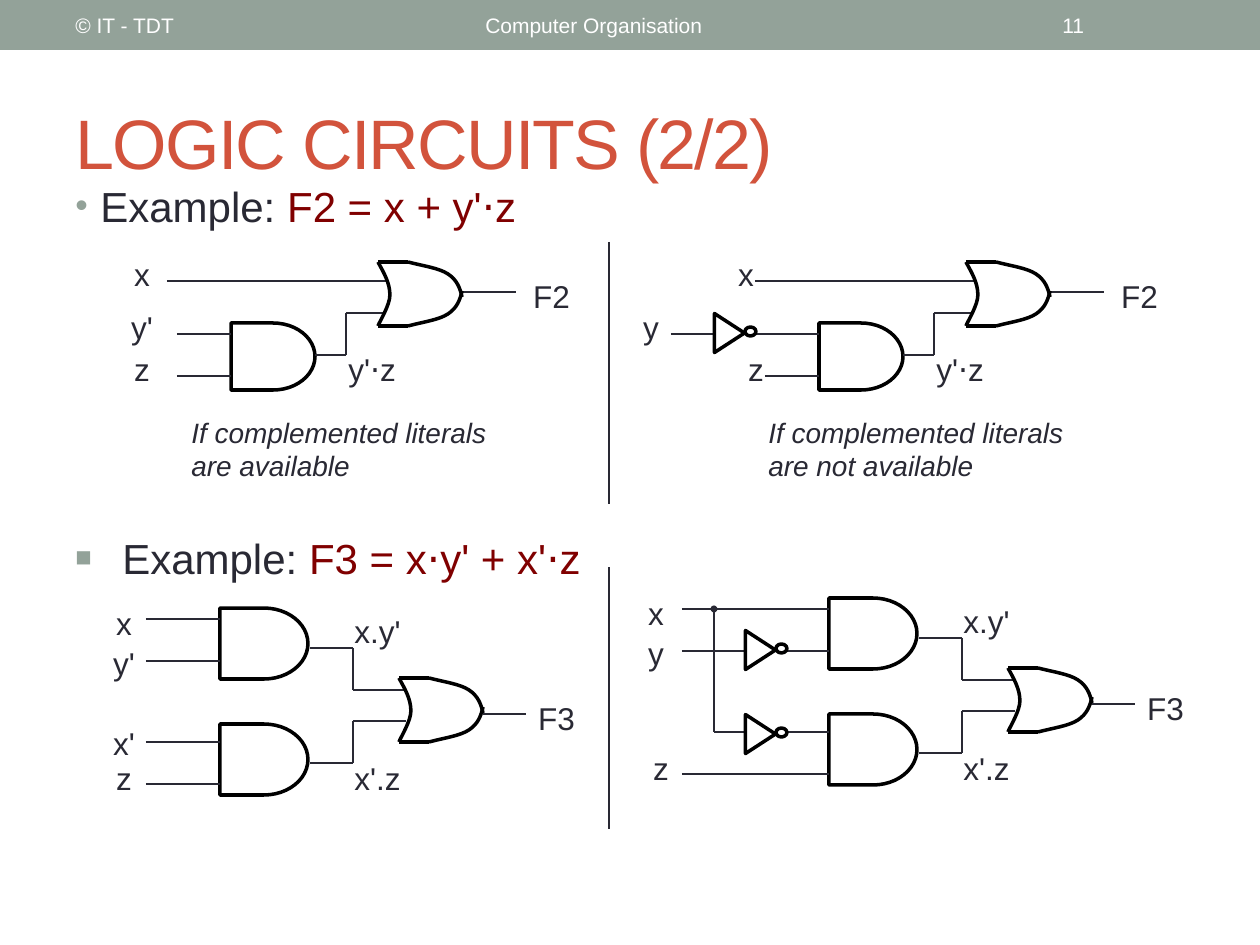
from dataclasses import dataclass

from lxml import etree
from pptx import Presentation
from pptx.dml.color import RGBColor
from pptx.enum.shapes import MSO_CONNECTOR, MSO_SHAPE
from pptx.enum.text import MSO_ANCHOR, PP_ALIGN
from pptx.oxml.ns import qn
from pptx.util import Pt

STRAIGHT = MSO_CONNECTOR.STRAIGHT
RECTANGLE, OVAL = MSO_SHAPE.RECTANGLE, MSO_SHAPE.OVAL
DELAY, MERGE = MSO_SHAPE.FLOWCHART_DELAY, MSO_SHAPE.FLOWCHART_MERGE
TOP, MIDDLE = MSO_ANCHOR.TOP, MSO_ANCHOR.MIDDLE
LEFT, CENTER = PP_ALIGN.LEFT, PP_ALIGN.CENTER
EMU_PER_PX = 914400 / 126


@dataclass(frozen=True)
class Theme:
    """Colours, type sizes and line widths of the slide."""
    font: str = "Arial"
    banner: str = "93A299"
    white: str = "FFFFFF"
    title: str = "D2533C"
    ink: str = "292934"
    formula: str = "800000"
    gate: str = "000000"
    title_size: int = 40
    body_size: int = 24
    label_size: int = 18
    caption_size: int = 16
    footer_size: int = 12
    gate_width: float = 2
    wire_width: float = 1.5
    thin_width: float = 0.75


THEME = Theme()


def emu(px):
    """Turn px into EMU."""
    return round(px * EMU_PER_PX)


def rgb(value):
    """Turn a hex string into a colour."""
    return RGBColor.from_string(value)


def style_font(font, size, color):
    """Set typeface, size and colour of a font."""
    font.name, font.size = THEME.font, Pt(size)
    font.color.rgb = rgb(color)


def add_text(shapes, text, box, size, color, align=LEFT, anchor=TOP, before=0):
    """Add a one-paragraph text box and return its paragraph."""
    frame = shapes.add_textbox(*map(emu, box)).text_frame
    frame.word_wrap, frame.vertical_anchor = True, anchor
    paragraph = frame.paragraphs[0]
    paragraph.text, paragraph.alignment = text, align
    paragraph.space_before = Pt(before)
    style_font(paragraph.font, size, color)
    return paragraph


def add_label(shapes, text, left, top, width=78, align=LEFT):
    """Add a signal name."""
    add_text(shapes, text, (left, top, width, 50), THEME.label_size, THEME.ink, align, before=2.4)


def add_input_label(shapes, text, center, top):
    """Add an input name centred on a position."""
    add_label(shapes, text, center - 26, top, 52, CENTER)


def add_wire(shapes, *points, color=THEME.ink, width=THEME.wire_width):
    """Join points with straight lines and return the last one."""
    for start, end in zip(points, points[1:]):
        wire = shapes.add_connector(STRAIGHT, *map(emu, start + end))
        wire.line.color.rgb, wire.line.width = rgb(color), Pt(width)
        etree.SubElement(wire._element.spPr, qn("a:effectLst"))
    return wire


def style_outline(shape, fill=None):
    """Give a shape the gate line, and a fill or none."""
    shape.shadow.inherit = False
    shape.line.color.rgb, shape.line.width = rgb(THEME.gate), Pt(THEME.gate_width)
    if fill:
        shape.fill.solid()
        shape.fill.fore_color.rgb = rgb(fill)
    else:
        shape.fill.background()


def add_outline(shapes, preset, box, fill=None):
    """Add a black-lined preset shape, filled or open."""
    shape = shapes.add_shape(preset, *map(emu, box))
    style_outline(shape, fill)
    return shape


def add_curve(shapes, left, top, points):
    """Add an open outline of chained cubic Bézier segments."""
    corners = [(emu(left + x), emu(top + y)) for x, y in points]
    builder = shapes.build_freeform(*corners[0], scale=1.0)
    builder.add_line_segments(corners[1:], close=False)
    shape = builder.convert_to_shape()
    segments = list(shape._element.iter(qn("a:lnTo")))
    for first in range(0, len(segments), 3):
        curve = etree.Element(qn("a:cubicBezTo"))
        segments[first].addprevious(curve)
        for segment in segments[first:first + 3]:
            curve.append(segment[0])
            segment.getparent().remove(segment)
    style_outline(shape)


def add_or_gate(shapes, left, top):
    """Add an OR gate 84 px wide and 64 px high."""
    add_curve(shapes, left, top, [(0, 0), (6, 11), (12, 21), (12, 33), (12, 43), (2, 59), (0, 64)])
    upper = [(30, 0), (45, 4), (61, 6), (70, 12), (79, 18), (82, 26), (84, 35)]
    for edge, side in ((0, upper), (64, [(x, 64 - y) for x, y in upper])):
        add_wire(shapes, (left, top + edge), (left + 30, top + edge),
                 color=THEME.gate, width=THEME.gate_width)
        add_curve(shapes, left, top, side)


def add_inverter(shapes, left, top):
    """Add a NOT gate pointing right, with its bubble."""
    add_outline(shapes, MERGE, (left, top, 39, 30), THEME.white).rotation = 270
    add_outline(shapes, OVAL, (left + 35, top + 9, 11, 9), THEME.white)


def add_f2_circuit(slide, left, top, inputs, y_start, caption, caption_left, inverted):
    """Draw x + y'⋅z with its input names and caption."""
    shapes = slide.shapes.add_group_shape().shapes
    add_outline(shapes, DELAY, (left + 126, top + 81, 84, 67))
    for start, end, y in ((62, 283, 39), (y_start, 126, 92), (72, 126, 134), (357, 411, 50)):
        add_wire(shapes, (left + start, top + y), (left + end, top + y))
    add_wire(shapes, *((left + x, top + y) for x, y in ((210, 113), (241, 113), (241, 71), (279, 71))))
    add_or_gate(shapes, left + 273, top + 20)
    if inverted:
        add_inverter(shapes, left + 17, top + 76)
    for (text, center), y in zip(inputs, (7, 60, 102)):
        add_input_label(shapes, text, left + center, top + y)
    add_label(shapes, "y'⋅z", left + 231, top + 102)
    add_label(shapes, "F2", left + 410, top + 29, 73, CENTER)
    paragraph = add_text(shapes, caption, (left + caption_left, top + 167, 347, 81),
                         THEME.caption_size, THEME.ink, before=2.4)
    paragraph.font.italic = True


def add_f3_circuit(slide, left, top, inputs, starts, inverted):
    """Draw x⋅y' + x'⋅z with its input names."""
    shapes = slide.shapes.add_group_shape().shapes
    for gate_top, out, joint, text, text_top in ((20, 60, 102, "x.y'", 18), (136, 175, 133, "x'.z", 165)):
        add_outline(shapes, DELAY, (left + 123, top + gate_top, 88, 71))
        route = ((213, out), (256, out), (256, joint), (309, joint))
        add_wire(shapes, *((left + x, top + y) for x, y in route))
        add_label(shapes, text, left + 245, top + text_top)
    add_or_gate(shapes, left + 302, top + 90)
    add_wire(shapes, (left + 386, top + 126), (left + 429, top + 126))
    add_label(shapes, "F3", left + 428, top + 105, 63, CENTER)
    for start, y in zip(starts, (31, 73, 154, 196)):
        add_wire(shapes, (left + start, top + y), (left + 123, top + y))
    for text, center, y in inputs:
        add_input_label(shapes, text, left + center, top + y)
    if inverted:
        for y in (57, 141):
            add_inverter(shapes, left + 35, top + y)
        branch = add_wire(shapes, (left + 8, top + 31), (left + 8, top + 154), width=THEME.thin_width)
        line = branch._element.spPr.find(qn("a:ln"))
        etree.SubElement(line, qn("a:headEnd"), type="oval", w="sm", len="sm")


def add_example(slide, formula, box, bullet, bullet_size, indent):
    """Add a bulleted example line with its formula in colour."""
    paragraph = add_text(slide.shapes, "Example: ", box, THEME.body_size, THEME.ink, before=1.5)
    run = paragraph.add_run()
    run.text = formula
    run.font.color.rgb = rgb(THEME.formula)
    properties = paragraph._p.get_or_add_pPr()
    properties.set("marL", str(emu(indent)))
    properties.set("indent", str(-emu(indent)))
    marks = [etree.Element(qn("a:buClr")), etree.Element(qn("a:buSzPct"), val=str(bullet_size * 1000)),
             etree.Element(qn("a:buFont"), typeface=THEME.font), etree.Element(qn("a:buChar"), char=bullet)]
    etree.SubElement(marks[0], qn("a:srgbClr"), val=THEME.banner)
    properties.find(qn("a:spcBef")).addnext(marks[0])
    for previous, mark in zip(marks, marks[1:]):
        previous.addnext(mark)


def add_banner(slide, width, height):
    """Add the top band with its three texts."""
    band = slide.shapes.add_shape(RECTANGLE, 0, 0, emu(width), emu(height))
    band.shadow.inherit = False
    band.fill.solid()
    band.fill.fore_color.rgb = rgb(THEME.banner)
    band.line.fill.background()
    for text, left, span in (("© IT - TDT", 63, 399), ("Computer Organisation", 473, 567), ("11", 1050, 147)):
        add_text(slide.shapes, text, (left, 3, span, 45), THEME.footer_size, THEME.white, anchor=MIDDLE)


def format_title(title, text, box):
    """Place and format the title placeholder."""
    title.left, title.top, title.width, title.height = map(emu, box)
    title.text_frame.text = text
    title.text_frame.vertical_anchor = MIDDLE
    paragraph = title.text_frame.paragraphs[0]
    paragraph.alignment = LEFT
    style_font(paragraph.font, THEME.title_size, THEME.title)
    paragraph.runs[0].font._element.set("spc", "-100")


def main():
    """Build and save the slide."""
    presentation = Presentation()
    presentation.slide_width, presentation.slide_height = emu(1260), emu(945)
    slide = presentation.slides.add_slide(presentation.slide_layouts[5])
    add_banner(slide, 1260, 50)
    format_title(slide.shapes.title, "LOGIC CIRCUITS (2/2)", (63, 73, 1134, 136))
    add_example(slide, "F2 = x + y'⋅z", (63, 174, 1134, 88), "•", 85, 25)
    add_example(slide, "F3 = x⋅y' + x'⋅z", (63, 526, 1134, 73), "■", 65, 47)
    add_f2_circuit(slide, 105, 242, (("x", 37), ("y'", 37), ("z", 37)), 72,
                   "If complemented literals are available", 74, False)
    add_f2_circuit(slide, 693, 242, (("x", 53), ("y", -42), ("z", 63)), -22,
                   "If complemented literals are not available", 63, True)
    add_f3_circuit(slide, 97, 588, (("x", 27, 10), ("y'", 27, 50), ("x'", 27, 130), ("z", 27, 165)),
                   (49, 49, 49, 49), False)
    add_f3_circuit(slide, 706, 578, (("x", -50, 10), ("y", -50, 50), ("z", -45, 165)),
                   (-24, -24, 8, -24), True)
    for top in (242, 567):
        add_wire(slide.shapes, (609, top), (609, top + 262), width=THEME.thin_width)
    presentation.save("out.pptx")


if __name__ == "__main__":
    main()
